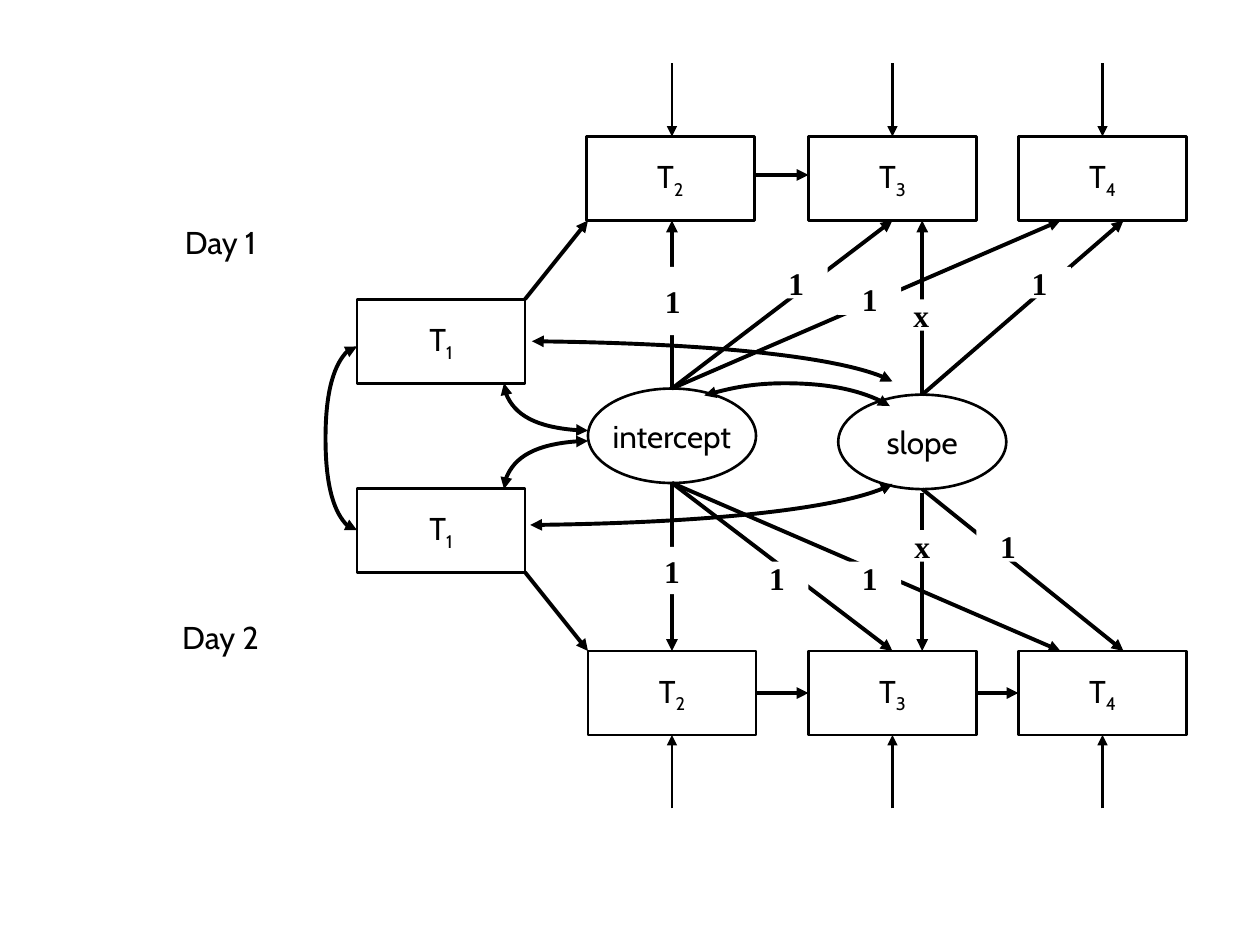
from lxml import etree
from pptx import Presentation, util as u
from pptx.dml.color import RGBColor
from pptx.enum import shapes, text
from pptx.oxml.ns import qn

BLACK, WHITE = "000000", "FFFFFF"
THIN, THICK = 1.5, 2.25
BOX_W, BOX_H = 96, 48
OVAL_W, OVAL_H = 96, 54

# Left, top, subscript of each observed variable
BOXES = [
    (204, 171, "1"), (335, 78, "2"), (462, 78, "3"), (582, 78, "4"),
    (204, 279, "1"), (336, 372, "2"), (462, 372, "3"), (582, 372, "4"),
]
OVALS = [(336, 222, "intercept"), (479, 225.5, "slope")]
DAYS = [(78, 114, "Day 1"), (78, 340, "Day 2")]

# Error arrows: column centres, then outer and box ends of each row
ERROR_X = [384, 510, 630]
ERROR_Y = [(36, 78), (462, 420)]

# Paths from a start point to one or more end points
PATHS = [
    ((384, 222), [(384, 126), (510, 126), (606, 126)]),
    ((527, 225.5), [(527, 126), (642, 126)]),
    ((384, 276), [(384, 372), (510, 372), (606, 372)]),
    ((527, 282), [(527, 372)]),
    ((527, 279.5), [(642, 372)]),
    ((300, 171), [(336, 126)]),
    ((300, 327), [(336, 372)]),
    ((432, 100), [(462, 100)]),
    ((432, 396), [(462, 396)]),
    ((558, 396), [(582, 396)]),
]

# Loadings: left, top, width, height, value
LOADINGS = [
    (366.5, 152.5, 36, 39, "1"), (437, 152.5, 36, 18, "1"),
    (479, 162, 36, 18, "1"), (508.5, 171, 36, 18, "x"),
    (576, 152.5, 36, 18, "1"),
    (366, 312.5, 36, 27, "1"), (426, 321, 36, 18, "1"),
    (479, 321, 36, 18, "1"), (512, 303, 30, 18, "x"),
    (558, 303, 36, 18, "1"),
]

# Covariances: a start point, then three Bezier points per segment
COVARIANCES = [
    [(336, 252), (309.5, 252), (288, 264), (288, 279.5)],
    [(336, 246), (309.5, 246), (288, 234), (288, 219)],
    [(508.5, 232), (496, 224), (473, 219), (448.5, 219),
     (432, 219), (415.5, 222), (402.5, 226)],
    [(510, 218), (487.5, 205), (404.5, 196), (304, 195)],
    [(510, 276.5), (487.5, 289.5), (404, 299), (303, 300)],
    [(204, 198), (194.5, 198), (186, 222), (186, 250.5),
     (186, 279.5), (194.5, 303), (204, 303)],
]


def color(value):
    return RGBColor.from_string(value)


def write(sp, runs, font="Cabin", bold=False):
    """Centre runs of (text, is_subscript) in a shape."""
    tf = sp.text_frame
    tf.word_wrap = False
    tf.vertical_anchor = text.MSO_ANCHOR.MIDDLE
    p = tf.paragraphs[0]
    p.alignment = text.PP_ALIGN.CENTER
    for words, subscript in runs:
        r = p.add_run()
        r.text = words
        r.font.name, r.font.size, r.font.bold = font, u.Pt(18), bold
        r.font.color.rgb = color(BLACK)
        if subscript:
            r.font._element.set("baseline", "-25000")


def add_node(s, kind, x, y, w, h, fill=None, line=BLACK):
    sp = s.shapes.add_shape(kind, u.Pt(x), u.Pt(y), u.Pt(w), u.Pt(h))
    sp.shadow.inherit = False
    if fill:
        sp.fill.solid()
        sp.fill.fore_color.rgb = color(fill)
    else:
        sp.fill.background()
    if line:
        sp.line.color.rgb = color(line)
        sp.line.width = u.Pt(THIN)
    else:
        sp.line.fill.background()
    return sp


def style_arrow(sp, width, ends):
    sp.line.color.rgb = color(BLACK)
    sp.line.width = u.Pt(width)
    for end in ends:
        etree.SubElement(sp.line._get_or_add_ln(), qn("a:" + end), type="triangle")


def add_arrow(s, start, end, width, sites):
    """Draw an arrow, joined to any box side whose middle it meets."""
    sp = s.shapes.add_connector(
        shapes.MSO_CONNECTOR.STRAIGHT, *(u.Pt(v) for v in start + end))
    if start in sites:
        sp.begin_connect(*sites[start])
    if end in sites:
        sp.end_connect(*sites[end])
    style_arrow(sp, width, ["tailEnd"])
    etree.SubElement(sp._element.spPr, qn("a:effectLst"))


def add_curve(s, points):
    """Draw a double-headed curve through Bezier control points."""
    points = [(u.Pt(x), u.Pt(y)) for x, y in points]
    builder = s.shapes.build_freeform(*points[0])
    builder.add_line_segments(points[1:], close=False)
    sp = builder.convert_to_shape()
    outline = next(sp._element.iter(qn("a:path")))
    lines = outline.findall(qn("a:lnTo"))
    for i in range(0, len(lines), 3):
        bezier = etree.SubElement(outline, qn("a:cubicBezTo"))
        for line in lines[i:i + 3]:
            bezier.append(line[0])
            outline.remove(line)
    sp.shadow.inherit = False
    sp.fill.background()
    style_arrow(sp, THICK, ["headEnd", "tailEnd"])


def main():
    prs = Presentation()
    prs.slide_width, prs.slide_height = u.Pt(720), u.Pt(540)
    s = prs.slides.add_slide(prs.slide_layouts[6])

    for x, y, name in OVALS:
        sp = add_node(s, shapes.MSO_SHAPE.OVAL, x, y, OVAL_W, OVAL_H)
        write(sp, [(name, False)])

    sites = {}
    for x, y, number in BOXES:
        sp = add_node(s, shapes.MSO_SHAPE.RECTANGLE, x, y, BOX_W, BOX_H)
        write(sp, [("T", False), (number, True)])
        mid_x, mid_y = x + BOX_W / 2, y + BOX_H / 2
        middles = [(mid_x, y), (x, mid_y), (mid_x, y + BOX_H), (x + BOX_W, mid_y)]
        sites.update({point: (sp, i) for i, point in enumerate(middles)})

    for x, y, day in DAYS:
        sp = s.shapes.add_textbox(u.Pt(x), u.Pt(y), u.Pt(BOX_W), u.Pt(BOX_H))
        write(sp, [(day, False)])

    for outer, inner in ERROR_Y:
        for x in ERROR_X:
            add_arrow(s, (x, outer), (x, inner), THIN, sites)
    for start, ends in PATHS:
        for end in ends:
            add_arrow(s, start, end, THICK, sites)

    for x, y, w, h, value in LOADINGS:
        sp = add_node(s, shapes.MSO_SHAPE.RECTANGLE, x, y, w, h, WHITE, None)
        write(sp, [(value, False)], "Times New Roman", True)

    for points in COVARIANCES:
        add_curve(s, points)

    prs.save("out.pptx")


if __name__ == "__main__":
    main()
